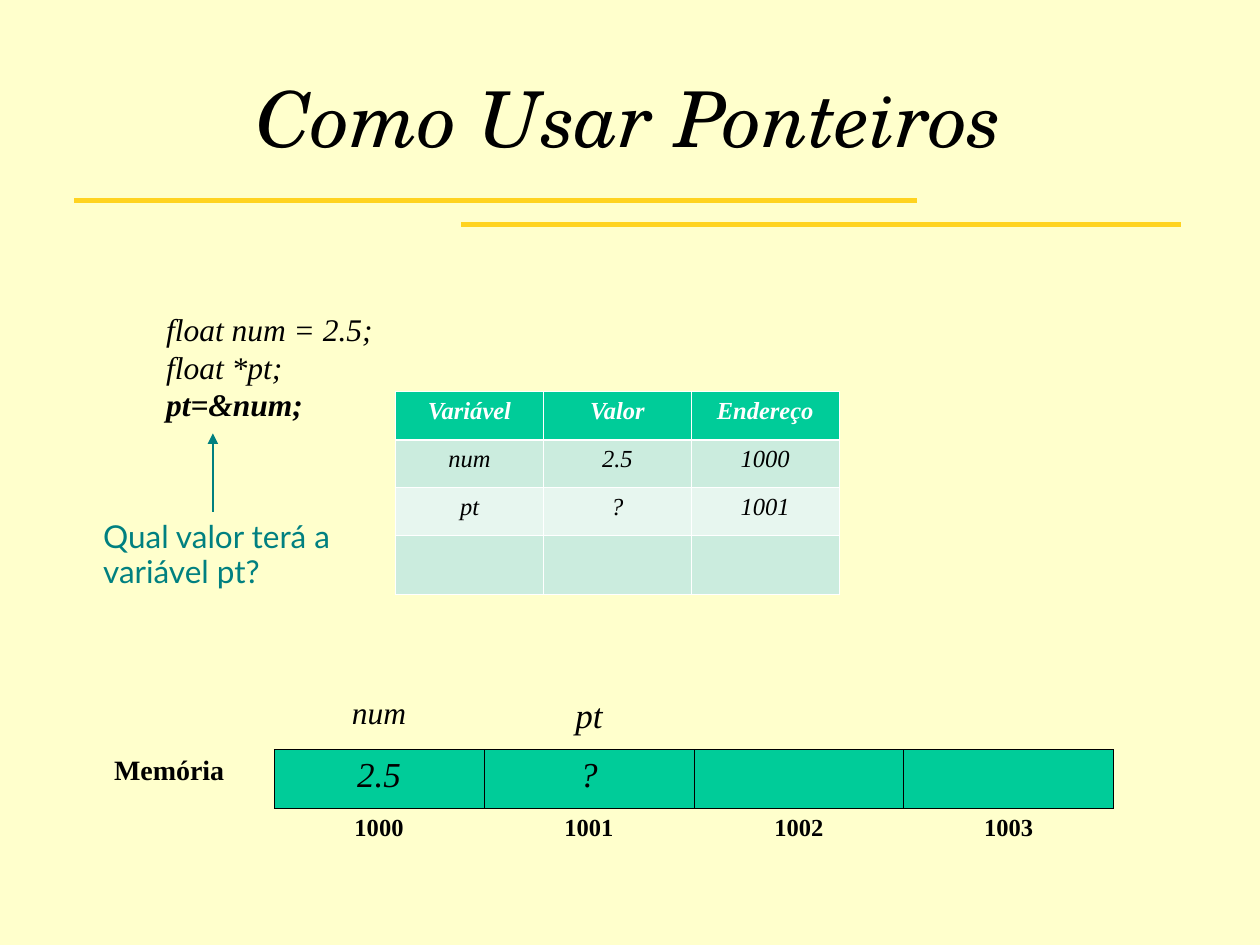
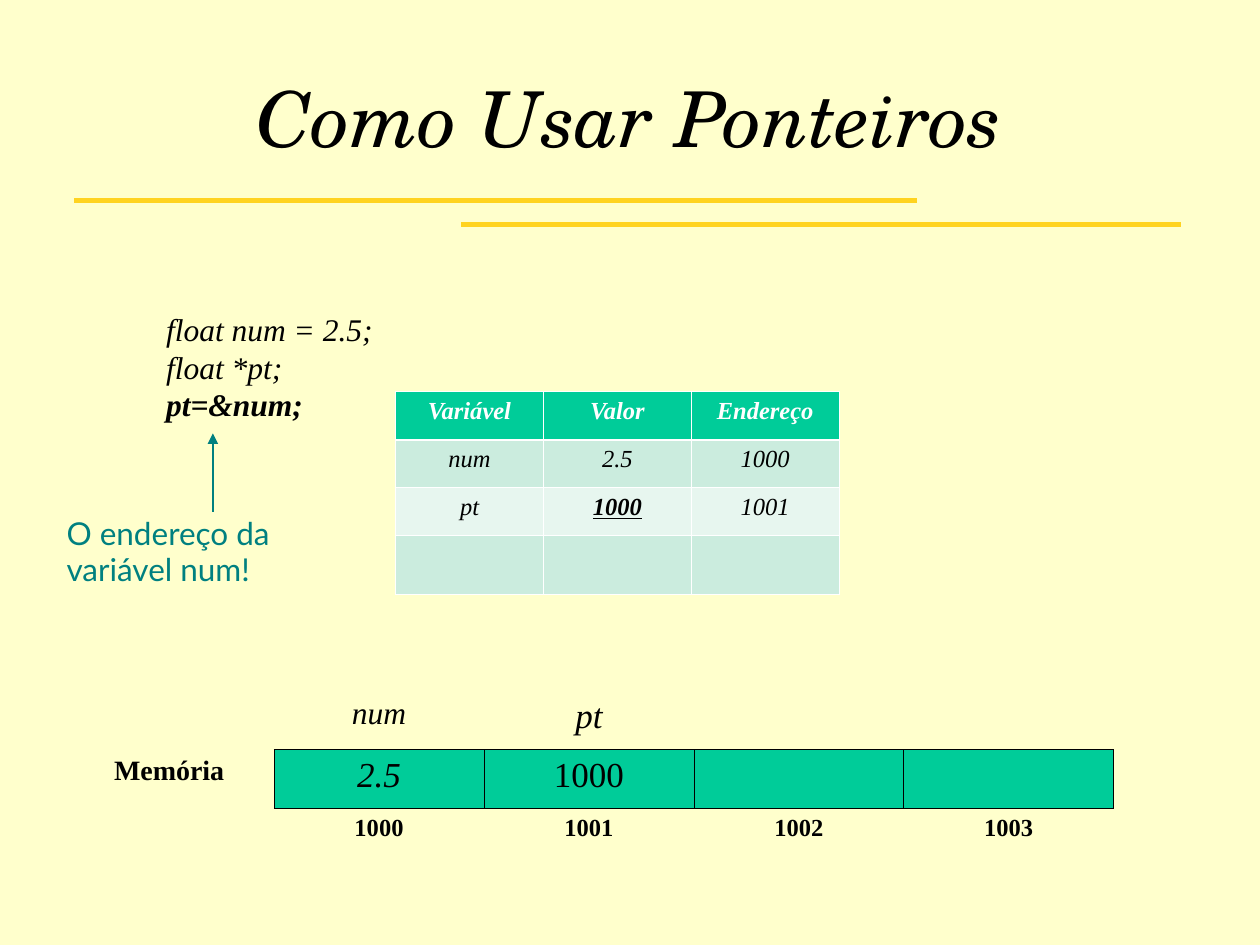
from lxml import etree
from pptx import Presentation
from pptx.dml.color import RGBColor
from pptx.enum.shapes import MSO_CONNECTOR
from pptx.enum.text import MSO_ANCHOR, PP_ALIGN
from pptx.oxml.ns import qn
from pptx.util import Inches, Pt

STRAIGHT = MSO_CONNECTOR.STRAIGHT
CENTER = PP_ALIGN.CENTER
MIDDLE = MSO_ANCHOR.MIDDLE

CREAM = RGBColor(0xFF, 0xFF, 0xCC)
GOLD = RGBColor(0xFF, 0xD3, 0x20)
BLACK = RGBColor(0x00, 0x00, 0x00)
WHITE = RGBColor(0xFF, 0xFF, 0xFF)
GREEN = RGBColor(0x00, 0xCC, 0x99)
BAND_DARK = RGBColor(0xCB, 0xEC, 0xDE)
BAND_LIGHT = RGBColor(0xE7, 0xF6, 0xEF)
TEAL = RGBColor(0x00, 0x80, 0x80)

TITLE_FONT = "TeX Gyre Schola"
BODY_FONT = "Times New Roman"
CALLOUT_FONT = "Lato"
TITLE_ONLY = 5
PLAIN_TABLE_STYLE = "{2D5ABB26-0587-4C30-8999-92F81FD0307C}"
THIN, THICK = 0.45, 1.47

TITLE = "Como Usar Ponteiros"
CODE_LINES = ["float num = 2.5;", "float *pt;", "pt=&num;"]
ADDRESSES = ["1000", "1001", "1002", "1003"]


def style_text(paragraph, size, color=BLACK, name=BODY_FONT,
               bold=False, italic=False, underline=False):
    for run in paragraph.runs:
        font = run.font
        font.name, font.size = name, Pt(size)
        font.bold, font.italic, font.underline = bold, italic, underline
        font.color.rgb = color


def add_line(slide, start, end, color, width, arrow=False):
    points = [Inches(value) for value in (*start, *end)]
    connector = slide.shapes.add_connector(STRAIGHT, *points)
    connector.line.color.rgb = color
    connector.line.width = Pt(width)
    properties = connector.line._get_or_add_ln()
    if arrow:
        etree.SubElement(properties, qn("a:tailEnd"), type="triangle")
    etree.SubElement(properties.getparent(), qn("a:effectLst"))


def add_title(slide):
    title = slide.shapes.title
    title.left, title.top = Inches(0.5), Inches(0.14)
    title.width, title.height = Inches(8.99), Inches(1.57)
    title.text_frame.text = TITLE
    title.text_frame.vertical_anchor = MIDDLE
    paragraph = title.text_frame.paragraphs[0]
    paragraph.alignment = CENTER
    style_text(paragraph, 44, name=TITLE_FONT, italic=True)


def add_text(slide, left, top, width, height, text, wrap):
    box = slide.shapes.add_textbox(
        Inches(left), Inches(top), Inches(width), Inches(height))
    box.text_frame.word_wrap = wrap
    box.text_frame.text = text
    return box.text_frame.paragraphs


def add_code(slide):
    paragraphs = add_text(slide, 1.22, 2.41, 1.84, 1, "\n".join(CODE_LINES), False)
    for paragraph in paragraphs:
        style_text(paragraph, 18, italic=True, bold=paragraph.text == CODE_LINES[-1])


def add_callout(slide, left, top, text):
    paragraph = add_text(slide, left, top, 2.62, 0.38, text, True)[0]
    paragraph.line_spacing = 0.93
    style_text(paragraph, 18, TEAL, CALLOUT_FONT)
    add_line(slide, (1.69, 4.06), (1.69, 3.44), TEAL, 0.75, arrow=True)


def add_plain_table(slide, left, top, width, row_heights, column_count):
    frame = slide.shapes.add_table(
        len(row_heights), column_count, Inches(left), Inches(top),
        Inches(width), Inches(sum(row_heights)))
    table = frame.table
    table.first_row = table.horz_banding = False
    next(frame._element.iter(qn("a:tableStyleId"))).text = PLAIN_TABLE_STYLE
    for column in table.columns:
        column.width = Inches(width / column_count)
    for row, height in zip(table.rows, row_heights):
        row.height = Inches(height)
    return table


def format_cell(cell, fill, borders, border_color):
    """Borders map the sides L, R, T and B to widths in points."""
    properties = cell._tc.get_or_add_tcPr()
    for side in "LRTB":
        width = borders.get(side)
        line = etree.SubElement(
            properties, qn("a:ln" + side), w=str(Pt(width or 0)))
        if width:
            solid = etree.SubElement(line, qn("a:solidFill"))
            etree.SubElement(solid, qn("a:srgbClr"), val=str(border_color))
        else:
            etree.SubElement(line, qn("a:noFill"))
    if fill is None:
        cell.fill.background()
    else:
        cell.fill.solid()
        cell.fill.fore_color.rgb = fill


def write_cell(cell, text, size, space_before=0, **style):
    if not text:
        return
    cell.text_frame.text = text
    paragraph = cell.text_frame.paragraphs[0]
    paragraph.alignment = CENTER
    if space_before:
        paragraph.space_before = Pt(space_before)
    style_text(paragraph, size, **style)


def add_variable_table(slide, pt_value, solved):
    rows = [("Variável", "Valor", "Endereço"),
            ("num", "2.5", ADDRESSES[0]),
            ("pt", pt_value, ADDRESSES[1]),
            ("", "", "")]
    fills = [GREEN, BAND_DARK, BAND_LIGHT, BAND_DARK]
    table = add_plain_table(slide, 3.14, 3.11, 3.52, [0.38, 0.38, 0.38, 0.47], 3)
    for row_index, (texts, fill) in enumerate(zip(rows, fills)):
        header = row_index == 0
        borders = dict.fromkeys("LRTB", THIN)
        if header:
            borders["B"] = THICK
        elif row_index == 1:
            borders["T"] = THICK
        for column_index, text in enumerate(texts):
            cell = table.cell(row_index, column_index)
            answer = solved and (row_index, column_index) == (2, 1)
            format_cell(cell, fill, borders, WHITE)
            write_cell(cell, text, 14, color=WHITE if header else BLACK,
                       bold=header or answer, italic=True, underline=answer)


def add_memory_table(slide, pt_value, solved):
    table = add_plain_table(slide, 0.51, 5.48, 8.33, [0.47, 0.47, 0.4],
                            len(ADDRESSES) + 1)
    # Label column: only the side next to the memory cells has a border
    for row_index in range(3):
        borders = {"R": THIN} if row_index == 1 else {}
        format_cell(table.cell(row_index, 0), None, borders, BLACK)
    write_cell(table.cell(1, 0), "Memória", 16, space_before=8, bold=True)

    # Each memory position: name, value, address
    names = [("num", 18), ("pt", 20), ("", 20), ("", 20)]
    values = [("2.5", True), (pt_value, not solved), ("", True), ("", True)]
    positions = zip(names, values, ADDRESSES)
    for column, ((name, size), (value, italic), address) in enumerate(positions, 1):
        name_cell, value_cell, address_cell = (table.cell(row, column) for row in range(3))
        format_cell(name_cell, None, {"B": THIN}, BLACK)
        format_cell(value_cell, GREEN, dict.fromkeys("LRTB", THIN), BLACK)
        format_cell(address_cell, None, {"T": THIN}, BLACK)
        write_cell(name_cell, name, size, space_before=8, italic=True)
        write_cell(value_cell, value, 20, space_before=8, italic=italic)
        write_cell(address_cell, address, 14, space_before=8, bold=True)


def add_pointer_slide(presentation, pt_value, solved, callout):
    slide = presentation.slides.add_slide(presentation.slide_layouts[TITLE_ONLY])
    # Title with its two offset rules
    add_line(slide, (0.59, 1.59), (7.28, 1.59), GOLD, 2.83)
    add_line(slide, (3.66, 1.78), (9.37, 1.78), GOLD, 2.83)
    add_title(slide)
    # Variables, memory and code
    add_variable_table(slide, pt_value, solved)
    add_memory_table(slide, pt_value, solved)
    add_code(slide)
    add_callout(slide, *callout)


def main():
    presentation = Presentation()
    presentation.slide_width, presentation.slide_height = Inches(10), Inches(7.5)
    background = presentation.slide_master.background.fill
    background.solid()
    background.fore_color.rgb = CREAM

    # Question, then answer
    add_pointer_slide(presentation, "?", False,
                      (0.72, 4.08, "Qual valor terá a variável pt?"))
    add_pointer_slide(presentation, ADDRESSES[0], True,
                      (0.43, 4.06, "O endereço da variável num!"))
    presentation.save("out.pptx")


if __name__ == "__main__":
    main()
